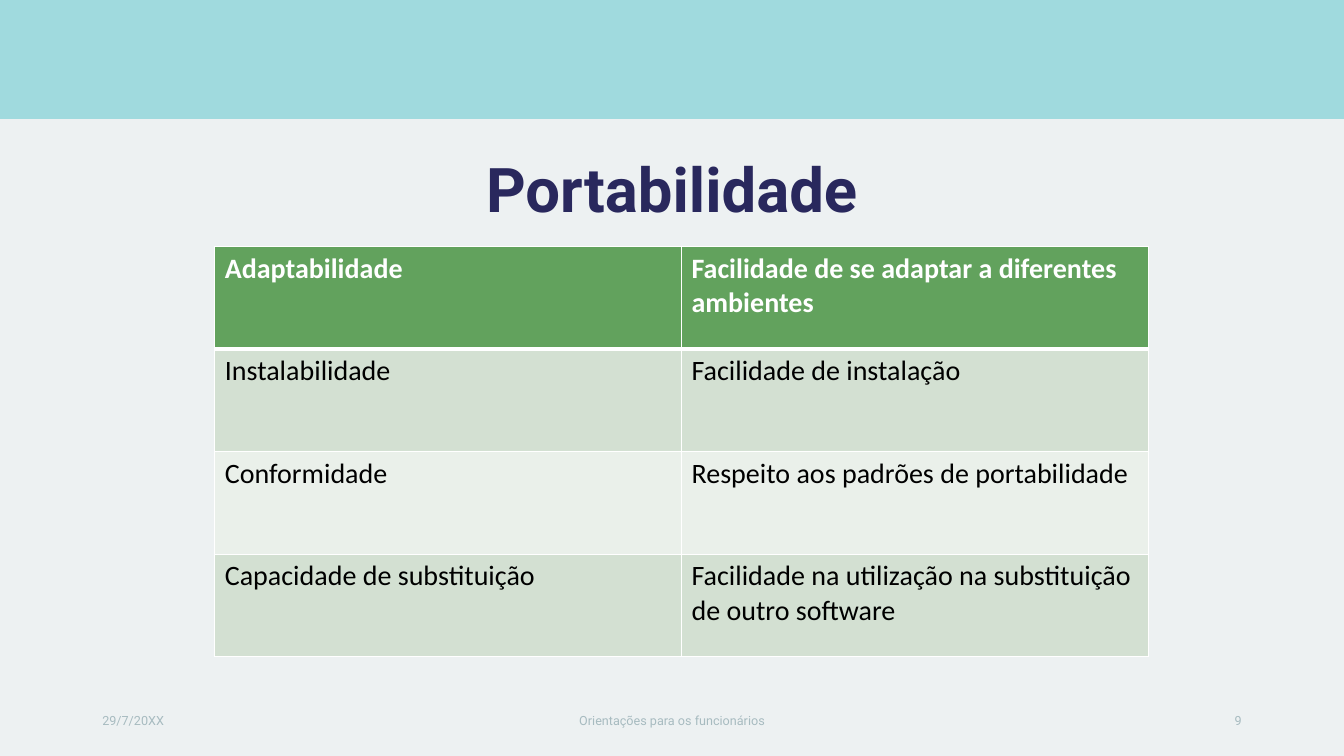
from lxml.etree import SubElement
from pptx import Presentation
from pptx.dml.color import RGBColor
from pptx.enum.shapes import MSO_SHAPE
from pptx.enum.text import MSO_ANCHOR, PP_ALIGN
from pptx.oxml.ns import qn
from pptx.util import Pt

# Content
TITLE = "Portabilidade"
ROWS = [
    ("Adaptabilidade", "Facilidade de se adaptar a diferentes ambientes"),
    ("Instalabilidade", "Facilidade de instalação"),
    ("Conformidade", "Respeito aos padrões de portabilidade"),
    ("Capacidade de substituição",
     "Facilidade na utilização na substituição de outro software"),
]
FOOTER = [  # text, left, width, alignment
    ("29/7/20XX", 66, 216, PP_ALIGN.LEFT),
    ("Orientações para os funcionários", 318, 324, PP_ALIGN.CENTER),
    ("9", 678, 216, PP_ALIGN.RIGHT),
]
COLORS = {
    "back": "EDF1F2", "band": "A0DADE", "title": "29285D", "footer": "A7BBC0",
    "head": "62A25D", "odd": "D3E0D2", "even": "EAF0EA",
    "white": "FFFFFF", "black": "000000",
}
WIDE, HIGH = 960, 540
COL, ROW = 333.4, 73.3


def color(name):
    return RGBColor.from_string(COLORS[name])


def paint(fill, name):
    fill.solid()
    fill.fore_color.rgb = color(name)


def style(para, face, size, name, bold=False):
    font = para.font
    font.name, font.size, font.bold = face, Pt(size), bold
    font.color.rgb = color(name)


def label(text, box, size, name, align, anchor, bold=False):
    frame = slide.shapes.add_textbox(*map(Pt, box)).text_frame
    frame.word_wrap = True
    frame.vertical_anchor = anchor
    para = frame.paragraphs[0]
    para.text, para.alignment = text, align
    style(para, "Roboto", size, name, bold)
    return para


def border(cell, widths):
    props = cell._tc.get_or_add_tcPr()
    for i, (side, width) in enumerate(widths.items()):
        line = props.makeelement(qn(f"a:ln{side}"), {"w": str(Pt(width))})
        fill = SubElement(line, qn("a:solidFill"))
        SubElement(fill, qn("a:srgbClr"), val=COLORS["white"])
        props.insert(i, line)


# Slide and top band
deck = Presentation()
deck.slide_width, deck.slide_height = Pt(WIDE), Pt(HIGH)
slide = deck.slides.add_slide(deck.slide_layouts[6])
paint(slide.background.fill, "back")
band = slide.shapes.add_shape(MSO_SHAPE.RECTANGLE, 0, 0, Pt(WIDE), Pt(85))
band.shadow.inherit = False
paint(band.fill, "band")
band.line.fill.background()

# Title and footer
head = label(TITLE, (256, 62, 448, 103), 44, "title",
             PP_ALIGN.CENTER, MSO_ANCHOR.BOTTOM, True)
head.line_spacing = 0.9
for text, left, width, align in FOOTER:
    label(text, (left, 500.4, width, 28.8), 9, "footer",
          align, MSO_ANCHOR.MIDDLE)

# Table
table = slide.shapes.add_table(
    len(ROWS), 2, Pt(153.4), Pt(176), Pt(2 * COL), Pt(len(ROWS) * ROW)).table
for col in table.columns:
    col.width = Pt(COL)
for r, texts in enumerate(ROWS):
    table.rows[r].height = Pt(ROW)
    top = r == 0
    shade = "head" if top else "odd" if r % 2 else "even"
    for c, text in enumerate(texts):
        cell = table.cell(r, c)
        cell.text = text
        paint(cell.fill, shade)
        style(cell.text_frame.paragraphs[0], "Calibri", 20,
              "white" if top else "black", top)
        border(cell, {"L": 1, "R": 1, "T": 3 if r == 1 else 1,
                      "B": 3 if top else 1})

deck.save("out.pptx")
